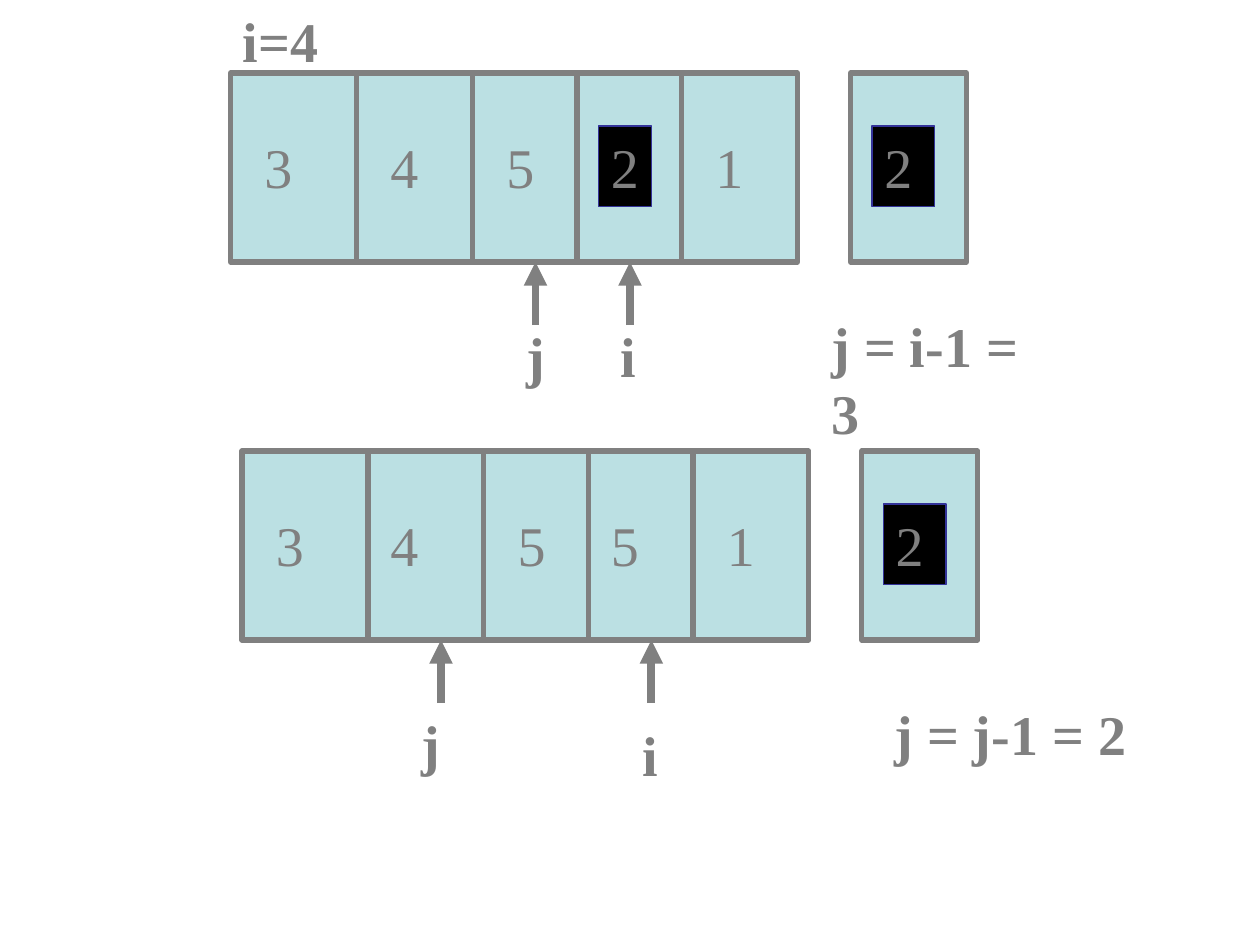
from dataclasses import dataclass

from lxml.etree import SubElement
from pptx import Presentation
from pptx.dml.color import RGBColor
from pptx.enum.shapes import MSO_CONNECTOR, MSO_SHAPE
from pptx.enum.text import MSO_ANCHOR, PP_ALIGN
from pptx.oxml.ns import qn
from pptx.util import Inches, Pt


@dataclass(frozen=True)
class Theme:
    font: str = "Times New Roman"
    size: int = 32
    gray: RGBColor = RGBColor(0x80, 0x80, 0x80)
    cell: RGBColor = RGBColor(0xBB, 0xE0, 0xE3)
    mark: RGBColor = RGBColor(0, 0, 0)
    mark_edge: RGBColor = RGBColor(0x33, 0x33, 0x99)
    border: float = 3
    arrow: float = 4.5
    mark_border: float = 0.75


THEME = Theme()
ARRAY_WIDTH, ARRAY_HEIGHT = 4.5, 1.5
CELL_STARTS = (0, 1, 1.92, 2.75, 3.58)
KEY_OFFSET, KEY_WIDTH = 4.92, 0.92
INDENT, DIGIT_DROP = 0.17, 0.42
TEXT_HEIGHT = 0.64


def write(shape, text, bold=False, wrap=True):
    frame = shape.text_frame
    frame.word_wrap = wrap
    frame.vertical_anchor = MSO_ANCHOR.TOP
    para = frame.paragraphs[0]
    para.alignment = PP_ALIGN.LEFT
    span = para.add_run()
    span.text = text
    span.font.name = THEME.font
    span.font.size = Pt(THEME.size)
    span.font.bold = bold
    span.font.color.rgb = THEME.gray


def add_label(page, left, top, width, text, bold=True, wrap=True):
    box = page.shapes.add_textbox(
        Inches(left), Inches(top), Inches(width), Inches(TEXT_HEIGHT))
    write(box, text, bold, wrap)


def add_box(page, left, top, width, height, fill, edge, weight):
    box = page.shapes.add_shape(
        MSO_SHAPE.RECTANGLE, Inches(left), Inches(top), Inches(width), Inches(height))
    box.shadow.inherit = False
    box.fill.solid()
    box.fill.fore_color.rgb = fill
    box.line.color.rgb = edge
    box.line.width = Pt(weight)
    return box


def add_frame(page, left, top, width):
    add_box(page, left, top, width, ARRAY_HEIGHT, THEME.cell, THEME.gray, THEME.border)


def add_mark(page, left, top, width, digit):
    """Highlight a digit on a black tile."""
    tile = add_box(page, left, top, width, TEXT_HEIGHT,
                   THEME.mark, THEME.mark_edge, THEME.mark_border)
    write(tile, digit)


def add_line(page, x, start, end, weight, arrow=False):
    line = page.shapes.add_connector(
        MSO_CONNECTOR.STRAIGHT, Inches(x), Inches(start), Inches(x), Inches(end))
    line.line.color.rgb = THEME.gray
    line.line.width = Pt(weight)
    if arrow:
        SubElement(line.line._get_or_add_ln(), qn("a:tailEnd"), type="triangle")
    SubElement(line._element.spPr, qn("a:effectLst"))


def add_array(page, left, top, digits, indents, marked=None):
    add_frame(page, left, top, ARRAY_WIDTH)
    for index, (start, digit, indent) in enumerate(zip(CELL_STARTS, digits, indents)):
        if index:
            add_line(page, left + start, top, top + ARRAY_HEIGHT, THEME.border)
        place = left + start + indent, top + DIGIT_DROP
        if index == marked:
            add_mark(page, *place, 0.42, digit)
        else:
            add_label(page, *place, 0.75, digit, bold=False)


def add_key(page, left, top, digit):
    add_frame(page, left, top, KEY_WIDTH)
    add_mark(page, left + INDENT, top + DIGIT_DROP, 0.5, digit)


def add_pointer(page, x, tip, name, name_left, name_top):
    add_line(page, x, tip + 0.5, tip, THEME.arrow, arrow=True)
    add_label(page, name_left, name_top, 0.42, name)


def add_step(page, left, top, digits, indents, pointers, note, marked=None):
    """Draw the array, the held key, the index pointers and the note of one step."""
    add_array(page, left, top, digits, indents, marked)
    add_key(page, left + KEY_OFFSET, top, "2")
    for pointer in pointers:
        add_pointer(page, pointer[0], top + ARRAY_HEIGHT, *pointer[1:])
    add_label(page, *note, wrap=False)


def main():
    deck = Presentation()
    deck.slide_width, deck.slide_height = Inches(10), Inches(7.5)
    page = deck.slides.add_slide(deck.slide_layouts[6])
    add_label(page, 1.83, 0, 0.83, "i=4")
    add_step(page, 1.83, 0.58, "34521", (INDENT,) * 5,
             [(4.25, "j", 4.08, 2.5), (5, "i", 4.83, 2.5)],
             (6.5, 2.42, 2.01, "j = i-1 = 3"), marked=3)
    add_step(page, 1.92, 3.58, "34551", (INDENT, 0.08, INDENT, 0.08, INDENT),
             [(3.5, "j", 3.25, 5.58), (5.17, "i", 5, 5.67)],
             (7, 5.5, 2.04, "j = j-1 = 2"))
    deck.save("out.pptx")


if __name__ == "__main__":
    main()
